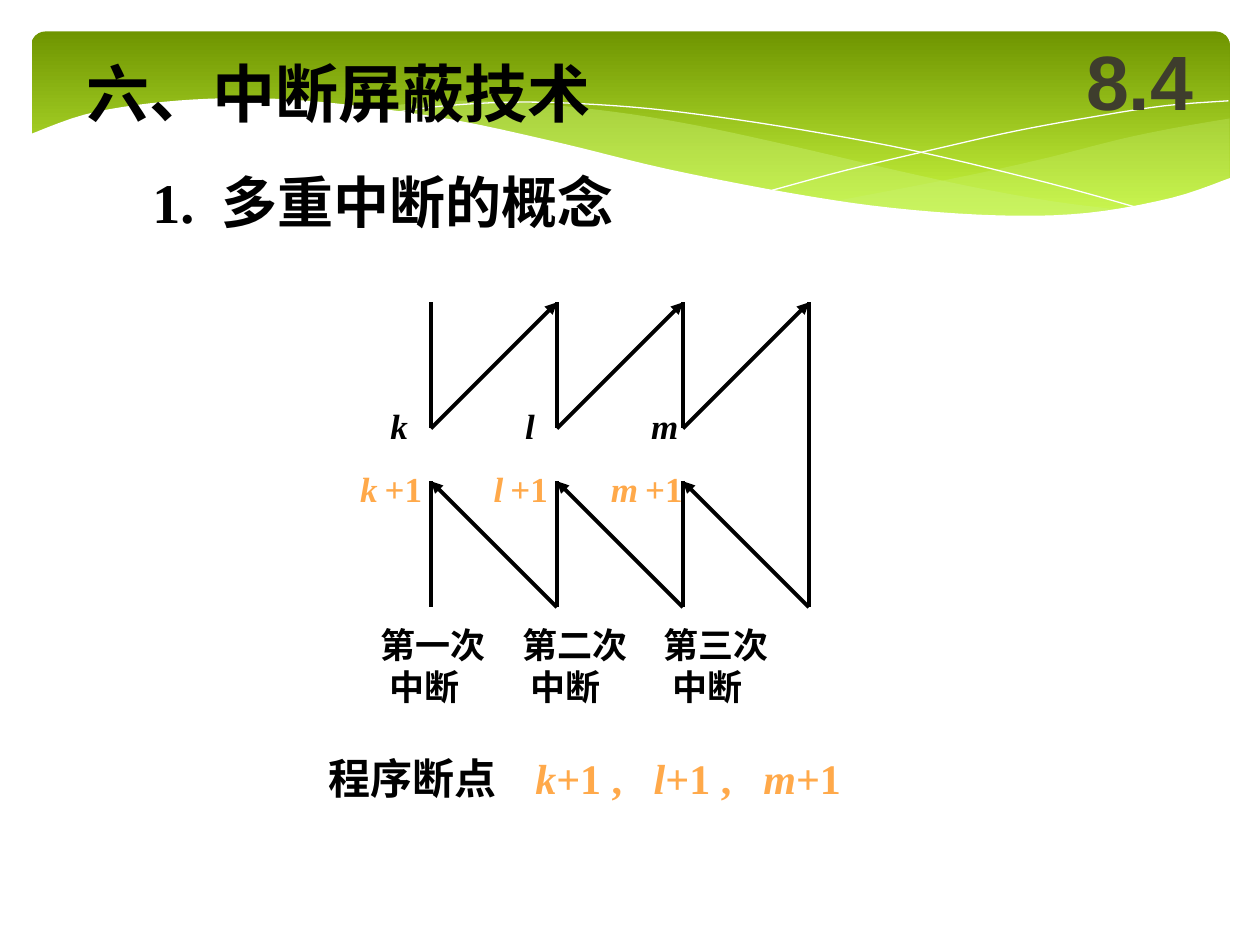
import pptx
import pptx.dml.color
import pptx.enum.dml
import pptx.enum.shapes
import pptx.enum.text
import pptx.oxml
import pptx.oxml.ns
import pptx.util

RGB = pptx.dml.color.RGBColor
BLACK, WHITE = RGB(0, 0, 0), RGB(255, 255, 255)
ORANGE = RGB(0xFF, 0xA9, 0x4A)
SLATE = RGB(0x3E, 0x3D, 0x2D)
GREEN, LIME, PALE = RGB(0x6F, 0x95, 0), RGB(0xD0, 0xFF, 0x44), RGB(0xCA, 0xF2, 0x78)
COLS, ROWS = 10, 7.5
MARGIN = (0.1, 0.05)
SHAPE = pptx.enum.shapes.MSO_SHAPE
ALIGN = pptx.enum.text.PP_ALIGN
ANCHOR = pptx.enum.text.MSO_ANCHOR


def add_xml(parent, tag, **attrs):
    el = pptx.oxml.parse_xml(f"<a:{tag} {pptx.oxml.ns.nsdecls('a')}/>")
    for key, value in attrs.items():
        el.set(key, str(value))
    parent.append(el)
    return el


def add_run(p, text, size=20, color=BLACK, italic=False, font="Times New Roman"):
    r = p.add_run()
    r.text = text
    r.font.name, r.font.size = font, pptx.util.Pt(size)
    r.font.bold, r.font.italic = True, italic
    r.font.color.rgb = color


def smooth(knots, steps=5):
    """Points of a Catmull-Rom curve through the knots."""
    k = [knots[0], *knots, knots[-1]]
    points = [knots[0]]
    for a, b, c, d in zip(k, k[1:], k[2:], k[3:]):
        for t in (n / steps for n in range(1, steps + 1)):
            points.append(tuple(
                (2 * q + (r - p) * t + (2 * p - 5 * q + 4 * r - s) * t ** 2
                 + (3 * q - p - 3 * r + s) * t ** 3) / 2
                for p, q, r, s in zip(a, b, c, d)))
    return points


class Board:
    """Current slide, laid out on a grid of COLS columns and ROWS rows."""

    def __init__(self, prs):
        self.slide = prs.slides.add_slide(prs.slide_layouts[6])
        self.shapes = self.slide.shapes
        self.col, self.row = prs.slide_width / COLS, prs.slide_height / ROWS

    def grid(self, x, y):
        return round(x * self.col), round(y * self.row)

    def banner(self, x, y, w, h):
        sp = self.shapes.add_shape(SHAPE.ROUNDED_RECTANGLE, *self.grid(x, y), *self.grid(w, h))
        sp.adjustments[0] = 0.07
        sp.shadow.inherit = False
        sp.line.fill.background()
        sp.fill.gradient()
        sp.fill.gradient_angle = 270
        for stop, color, place in zip(sp.fill.gradient_stops, (GREEN, LIME), (0, 1)):
            stop.color.rgb, stop.position = color, place

    def wave(self, points, fill=None, alpha=100):
        """Filled area, or a white hairline when there is no fill."""
        pts = [self.grid(*pt) for pt in points]
        fb = self.shapes.build_freeform(*pts[0], scale=1.0)
        fb.add_line_segments(pts[1:], close=fill is not None)
        sp = fb.convert_to_shape()
        sp.shadow.inherit = False
        if fill is None:
            sp.fill.background()
            sp.line.color.rgb, sp.line.width = WHITE, 0
            return
        sp.line.fill.background()
        sp.fill.solid()
        sp.fill.fore_color.rgb = fill
        if alpha < 100:
            color = sp.fill._xPr.find(".//" + pptx.oxml.ns.qn("a:srgbClr"))
            add_xml(color, "alpha", val=alpha * 1000)

    def line(self, start, end, arrow=False):
        cn = self.shapes.add_connector(
            pptx.enum.shapes.MSO_CONNECTOR.STRAIGHT, *self.grid(*start), *self.grid(*end))
        cn.line.color.rgb, cn.line.width = BLACK, pptx.util.Pt(2.25)
        if arrow:
            add_xml(cn.line._get_or_add_ln(), "tailEnd", type="triangle")
        add_xml(cn._element.spPr, "effectLst")

    def text(self, box, paragraphs, wrap=False, inset=MARGIN, anchor=ANCHOR.TOP,
             align=ALIGN.LEFT, tabs=(), indent=0):
        """Each paragraph is a list of (text, format); indent is for later paragraphs."""
        sp = self.shapes.add_textbox(*self.grid(*box[:2]), *self.grid(*box[2:]))
        tf = sp.text_frame
        tf.word_wrap, tf.vertical_anchor = wrap, anchor
        tf.margin_left, tf.margin_top = tf.margin_right, tf.margin_bottom = self.grid(*inset)
        for n, runs in enumerate(paragraphs):
            p = tf.add_paragraph() if n else tf.paragraphs[0]
            p.alignment = align
            pPr = p._p.get_or_add_pPr()
            if n and indent:
                pPr.set("marL", str(self.grid(indent, 0)[0]))
            if tabs:
                tab_list = add_xml(pPr, "tabLst")
                for tab in tabs:
                    add_xml(tab_list, "tab", pos=self.grid(tab, 0)[0], algn="l")
            for content, style in runs:
                add_run(p, content, **style)


def draw_header(b):
    b.banner(0.25, 0.25, 9.51, 1.56)
    # Translucent waves
    b.wave(smooth([(9.76, 0.94), (9.35, 1.01), (8.91, 1.1), (8.32, 1.25), (7.79, 1.37),
                   (7.29, 1.47), (6.61, 1.6)])
           + smooth([(6.61, 1.6), (7.05, 1.65), (7.57, 1.7), (8.03, 1.72), (8.54, 1.7),
                     (8.97, 1.65), (9.35, 1.56), (9.76, 1.41)]), PALE, 29)
    b.wave(smooth([(8.93, 1.67), (8.37, 1.6), (7.75, 1.49), (7.06, 1.34), (6.29, 1.16),
                   (5.55, 1), (4.89, 0.89), (4.2, 0.82), (3.61, 0.8), (2.86, 0.86)])
           + smooth([(2.86, 0.86), (3.42, 0.94), (4.04, 1.06), (4.91, 1.26), (5.66, 1.43),
                     (6.34, 1.56), (6.95, 1.65), (7.61, 1.71), (8.18, 1.73), (8.93, 1.67)]),
           PALE, 40)
    # Hairlines
    b.wave(smooth([(3.09, 0.9), (3.53, 0.84), (4.16, 0.81), (4.89, 0.84), (5.56, 0.91),
                   (6.36, 1.03), (7.27, 1.2), (8.31, 1.45), (9.07, 1.66)]))
    b.wave(smooth([(6.13, 1.51), (6.72, 1.35), (7.48, 1.17), (8.06, 1.04), (8.66, 0.93),
                   (9.24, 0.84), (9.75, 0.8)]))
    # White lower edge
    b.wave(smooth([(9.77, 1.41), (9.3, 1.57), (8.63, 1.69), (7.93, 1.71), (7.08, 1.65),
                   (6.26, 1.53), (5.29, 1.34), (4.47, 1.14), (3.65, 0.96), (2.92, 0.85),
                   (2.3, 0.79), (1.76, 0.78), (1.19, 0.82), (0.67, 0.91), (0.23, 1.07)])
           + [(0.23, 2.24), (9.77, 2.24)], WHITE)


def draw_interrupts(b):
    left, top, step = 3.42, 2.4, 1
    stop, resume, bottom = 3.4, 3.82, 4.82
    # Descending programs, with jumps out and returns
    for n in range(3):
        x = left + n * step
        b.line((x, top), (x, stop))
        b.line((x, stop), (x + step, top), arrow=True)
        b.line((x + step, bottom), (x, resume), arrow=True)
        b.line((x, resume), (x, bottom))
    b.line((left + 3 * step, top), (left + 3 * step, bottom))

    # Break points and captions
    orange = dict(color=ORANGE)
    labels = [("k", 3, 0.34, 2.76, 0.69, "第一次"),
              ("l", 4.07, 0.27, 3.82, 0.63, "第二次"),
              ("m", 5.07, 0.41, 4.75, 0.77, "第三次")]
    for n, (name, x, w, next_x, next_w, ordinal) in enumerate(labels):
        b.text((x, 3.16, w, 0.44), [[(name, dict(italic=True))]])
        b.text((next_x, 3.66, next_w, 0.44),
               [[(name, dict(orange, italic=True)), (" ", dict(orange, size=16)), ("+1", orange)]])
        b.text((2.92 + n * 1.125, 4.9, 1.1, 0.77), [[(ordinal, {})], [("中断", {})]],
               wrap=True, indent=0.07)

    # Summary
    big = dict(size=24, color=ORANGE)
    runs = [("程序断点\t", dict(size=24))]
    for name, tail in zip("klm", ("+1 ,\t", "+1 ,\t", "+1")):
        runs += [(name, dict(big, italic=True)), (tail, big)]
    b.text((2.51, 5.92, 4.82, 0.5), [runs], wrap=True, tabs=(1.64, 2.58, 3.45))


def main():
    prs = pptx.Presentation()
    prs.slide_width, prs.slide_height = pptx.util.Inches(10), pptx.util.Inches(7.5)
    b = Board(prs)
    draw_header(b)
    b.text((1.21, 1.36, 3.8, 0.47), [[("1.\t多重中断的概念", dict(size=32))]],
           wrap=True, inset=(0, 0), anchor=ANCHOR.MIDDLE, tabs=(0.55,))
    draw_interrupts(b)
    b.text((0.59, 0.38, 4.2, 0.7), [[("六、中断屏蔽技术", dict(size=36))]])
    b.text((8.42, 0.17, 1.25, 0.92), [[("8.4", dict(size=44, color=SLATE, font="Arial"))]],
           wrap=True, anchor=ANCHOR.MIDDLE, align=ALIGN.CENTER)
    prs.save("out.pptx")


if __name__ == "__main__":
    main()
